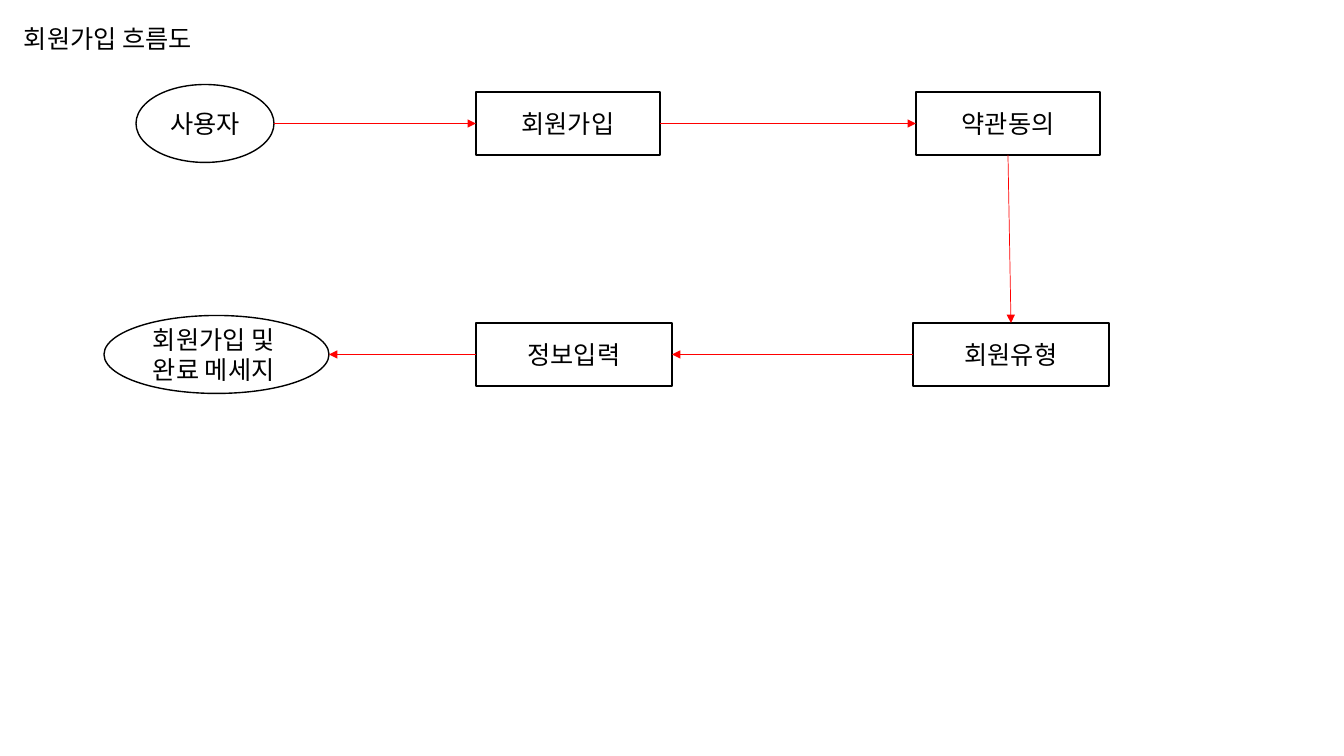
from dataclasses import dataclass

from lxml.etree import SubElement
from pptx import Presentation
from pptx.dml.color import RGBColor as RGB
from pptx.enum.shapes import MSO_CONNECTOR as LINE, MSO_SHAPE as SHAPE
from pptx.enum.text import MSO_ANCHOR as ANCHOR, MSO_AUTO_SIZE as AUTOSIZE, PP_ALIGN as ALIGN
from pptx.oxml.ns import qn
from pptx.util import Pt


@dataclass(frozen=True)
class Theme:
    ink: RGB = RGB(0, 0, 0)
    arrow: RGB = RGB(255, 0, 0)
    font: str = "Noto Sans CJK KR"
    text_size: Pt = Pt(18)
    outline: Pt = Pt(1)
    arrow_width: Pt = Pt(0.5)


THEME = Theme()
SCALE = 914400 / 100.8
TOP, LEFT, BOTTOM, RIGHT = range(4)


def px(*values):
    return [round(v * SCALE) for v in values]


def write(tf, lines, align):
    tf.text = "\n".join(lines)
    for p in tf.paragraphs:
        p.alignment = align
        for font in [p.font] + [r.font for r in p.runs]:
            font.name, font.size = THEME.font, THEME.text_size
            font.color.rgb = THEME.ink
            # Korean glyphs take the East Asian typeface
            latin = font._element.find(qn("a:latin"))
            ea = SubElement(font._element, qn("a:ea"), typeface=THEME.font)
            latin.addnext(ea)


def add_title(s, text, box):
    tf = s.shapes.add_textbox(*px(*box)).text_frame
    tf.word_wrap = False
    tf.auto_size = AUTOSIZE.SHAPE_TO_FIT_TEXT
    write(tf, [text], ALIGN.LEFT)


def add_node(s, kind, lines, box):
    sp = s.shapes.add_shape(kind, *px(*box))
    sp.shadow.inherit = False
    sp.fill.background()
    sp.line.color.rgb = THEME.ink
    sp.line.width = THEME.outline
    sp.text_frame.vertical_anchor = ANCHOR.MIDDLE
    write(sp.text_frame, lines, ALIGN.CENTER)
    return sp


def add_arrow(s, start, start_side, end, end_side):
    cxn = s.shapes.add_connector(LINE.STRAIGHT, 0, 0, 0, 0)
    cxn.begin_connect(start, start_side)
    cxn.end_connect(end, end_side)
    # An ellipse has eight connection sites, so its sides are every second one
    links = cxn._element.nvCxnSpPr.cNvCxnSpPr
    for link, sp, side in ((links.stCxn, start, start_side), (links.endCxn, end, end_side)):
        if sp.auto_shape_type == SHAPE.OVAL:
            link.idx = side * 2
    cxn.line.color.rgb = THEME.arrow
    cxn.line.width = THEME.arrow_width
    SubElement(cxn.line._get_or_add_ln(), qn("a:tailEnd"), type="triangle")
    SubElement(cxn._element.spPr, qn("a:effectLst"))


def add_flow(s, box):
    x, y, w, h = box
    step_h, oval_h, row_gap = 63, 78, 231
    mid_x = x + 372

    def row(top, oval, oval_x, oval_w, names, step_w, last_x):
        """An ellipse followed by two steps, all centred on one line."""
        oval_top = top - (oval_h - step_h) / 2
        return [add_node(s, SHAPE.OVAL, oval, (oval_x, oval_top, oval_w, oval_h))] + [
            add_node(s, SHAPE.RECTANGLE, [name], (left, top, step_w, step_h))
            for name, left in zip(names, (mid_x, last_x))]

    # Upper row runs right, lower row runs back left
    first_top = y + 7
    user, join, terms = row(first_top, ["사용자"], x + 32, 138,
                            ["회원가입", "약관동의"], 184, x + 812)
    done, details, member = row(first_top + row_gap, ["회원가입 및 ", "완료 메세지 "], x, 225,
                                ["정보입력", "회원유형"], 196, x + w - 196)

    for link in ((user, RIGHT, join, LEFT), (join, RIGHT, terms, LEFT),
                 (terms, BOTTOM, member, TOP), (member, LEFT, details, RIGHT),
                 (details, LEFT, done, RIGHT)):
        add_arrow(s, *link)


prs = Presentation()
prs.slide_width, prs.slide_height = px(1344, 756)
s = prs.slides.add_slide(prs.slide_layouts[6])
add_title(s, "회원가입 흐름도", (14, 18, 208, 40))
add_flow(s, (104, 85, 1005, 309))
prs.save("out.pptx")
